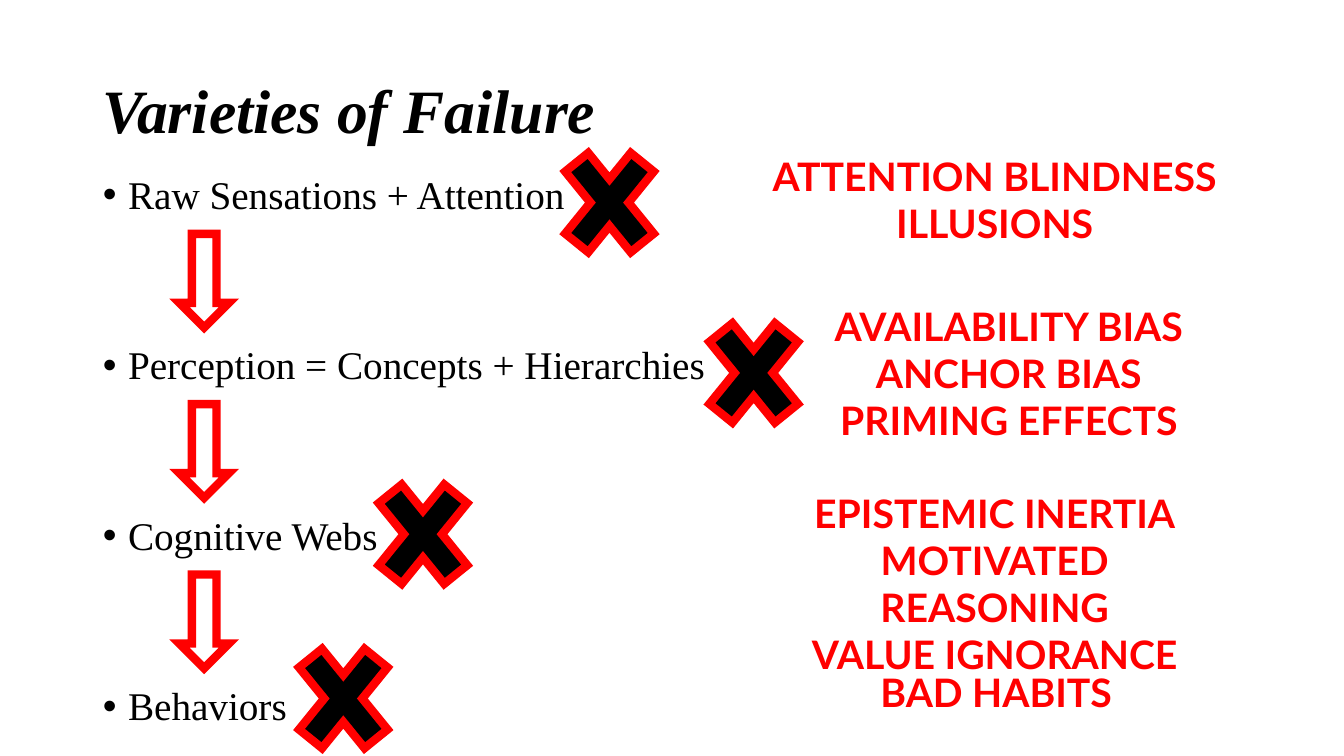
from lxml.etree import SubElement as Sub
from pptx import Presentation
from pptx.dml.color import RGBColor as Rgb
from pptx.enum.shapes import MSO_SHAPE as Kind
from pptx.enum.text import MSO_ANCHOR as Anchor, MSO_AUTO_SIZE as Fit, PP_ALIGN as Align
from pptx.oxml.ns import qn
from pptx.util import Inches, Pt

theme = {
    "ink": Rgb(0, 0, 0),
    "alert": Rgb(255, 0, 0),
    "edge": Pt(6),
    "title": {"name": "Times New Roman", "size": Pt(44), "bold": True, "italic": True},
    "list": {"name": "Times New Roman", "size": Pt(28)},
    "flaw": {"name": "Lato", "size": Pt(28), "bold": True},
}

deck = Presentation()
deck.slide_width, deck.slide_height = Inches(13.33), Inches(7.5)
cell = deck.slide_height / 7.5
slide = deck.slides.add_slide(deck.slide_layouts[1])


def grid(*spans):
    return [round(span * cell) for span in spans]


def write(para, text, style, color, form):
    para.text = text
    for key, value in form.items():
        setattr(para, key, value)
    for key, value in theme[style].items():
        setattr(para.font, key, value)
    para.font.color.rgb = theme[color]


head, body = slide.placeholders
for item, spot in ((head, (0.92, 0.4, 11.5, 1.45)), (body, (0.92, 1.69, 11.5, 5.63))):
    item.left, item.top, item.width, item.height = grid(*spot)
    item.text_frame.auto_size = Fit.NONE
head.text_frame.vertical_anchor = Anchor.MIDDLE
body.text_frame.vertical_anchor = Anchor.TOP
left = {"alignment": Align.LEFT, "line_spacing": 0.9, "space_before": Pt(0)}
write(head.text_frame.paragraphs[0], "Varieties of Failure", "title", "ink", left)

steps = [
    "Raw Sensations + Attention",
    "Perception = Concepts + Hierarchies",
    "Cognitive Webs",
    "Behaviors",
]
for row, step in enumerate(steps):
    frame = body.text_frame
    para = frame.add_paragraph() if row else frame.paragraphs[0]
    props = para._p.get_or_add_pPr()
    props.set("marL", str(Inches(0.25)))
    props.set("indent", str(-Inches(0.25)))
    Sub(props, qn("a:buFont"), typeface="Arial")
    Sub(props, qn("a:buChar"), char="•")
    gap = Pt(91.5) if row else Pt(0)
    write(para, step, "list", "ink", {**left, "space_before": gap})

marks = [(Kind.DOWN_ARROW, 1.78, 2.32 + 1.69 * row, 0.49, 0.93) for row in range(3)]
spots = (5.42, 1.24), (6.85, 2.93), (3.57, 4.53), (2.78, 6.16)
marks += [(Kind.MATH_MULTIPLY, x, y, 1.25, 1.54) for x, y in spots]
for kind, *spot in marks:
    mark = slide.shapes.add_shape(kind, *grid(*spot))
    mark.shadow.inherit = False
    if kind == Kind.MATH_MULTIPLY:
        mark.fill.solid()
        mark.fill.fore_color.rgb = theme["ink"]
    else:
        mark.fill.background()
    mark.line.color.rgb = theme["alert"]
    mark.line.width = theme["edge"]
    Sub(mark.line._ln, qn("a:miter"), lim="800000")

flaws = [
    ((7.32, 1.46, 5.09, 1.04), ["ATTENTION BLINDNESS", "ILLUSIONS"]),
    ((8.04, 2.95, 3.93, 1.51), ["AVAILABILITY BIAS", "ANCHOR BIAS", "PRIMING EFFECTS"]),
    ((7.59, 4.8, 4.55, 1.51), ["EPISTEMIC INERTIA", "MOTIVATED REASONING", "VALUE IGNORANCE"]),
    ((7.62, 6.58, 4.52, 0.57), ["BAD HABITS"]),
]
for spot, lines in flaws:
    frame = slide.shapes.add_textbox(*grid(*spot)).text_frame
    frame.word_wrap = True
    frame.auto_size = Fit.SHAPE_TO_FIT_TEXT
    for row, line in enumerate(lines):
        para = frame.add_paragraph() if row else frame.paragraphs[0]
        write(para, line, "flaw", "alert", {"alignment": Align.CENTER})

deck.save("out.pptx")
